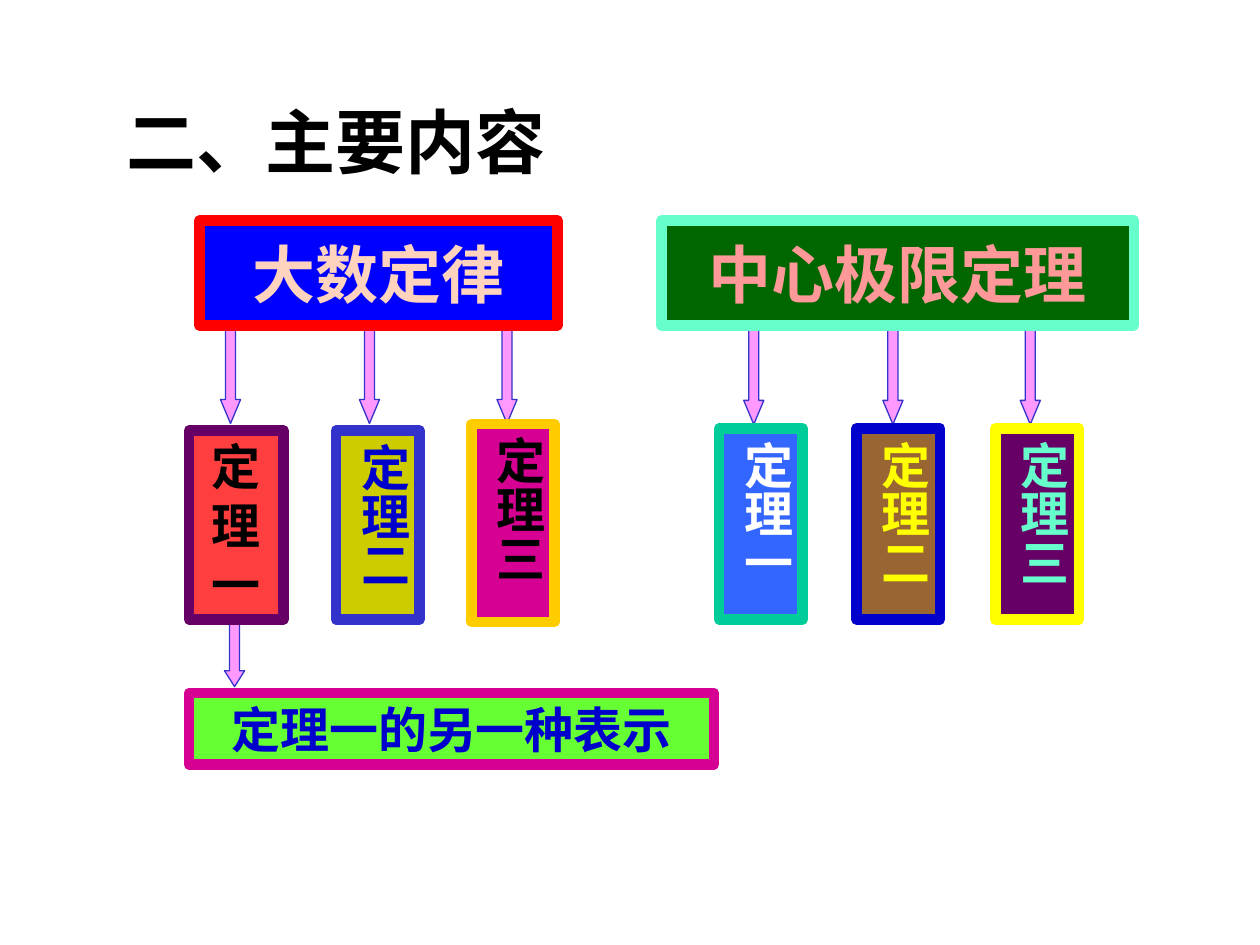
import pptx
import pptx.dml.color
import pptx.enum.shapes
import pptx.enum.text
import pptx.util

Pt = pptx.util.Pt
Shape = pptx.enum.shapes.MSO_SHAPE
Anchor = pptx.enum.text.MSO_ANCHOR
Align = pptx.enum.text.PP_ALIGN


def color(value):
    return pptx.dml.color.RGBColor.from_string(value)


def add_filled(kind, left, top, width, height, fill, line, line_width):
    shape = slide.shapes.add_shape(kind, Pt(left), Pt(top), Pt(width), Pt(height))
    shape.shadow.inherit = False
    shape.fill.solid()
    shape.fill.fore_color.rgb = color(fill)
    shape.line.color.rgb = color(line)
    shape.line.width = Pt(line_width)
    return shape


deck = pptx.Presentation()
deck.slide_width, deck.slide_height = Pt(720), Pt(540)
slide = deck.slides.add_slide(deck.slide_layouts[6])

title = slide.shapes.add_textbox(Pt(65), Pt(52.5), Pt(612), Pt(55.5))
title.text_frame.word_wrap = True
title.text_frame.vertical_anchor = Anchor.MIDDLE
para = title.text_frame.paragraphs[0]
para.text = "二、主要内容"
para.font.name, para.font.size, para.font.bold = "Times New Roman", Pt(40), True
para.font.color.rgb = color("000000")

# Left, top, height of each arrow, and its head length as a share of its width
arrows = [(left, 188, 54, 1.19) for left in (126, 205.4, 284)]
arrows += [(left, 188.5, 54, 1.19) for left in (425, 504.5, 583)]
arrows.append((128.3, 356.4, 36, 0.79))
for left, top, height, head in arrows:
    arrow = add_filled(Shape.DOWN_ARROW, left, top, 11.5, height, "FF99FF", "3333CC", 0.75)
    arrow.adjustments[0], arrow.adjustments[1] = 0.5, head

# Text, size, text colour, fill, line, place, upright characters in a column
boxes = [
    ("大数定律", 36, "FFD3BD", "0000FF", "FF0000", (114, 126, 204.5, 60), False),
    ("中心极限定理", 36, "FF9999", "006600", "66FFCC", (378, 126, 270, 60), False),
    ("定\n理\n一", 28, "000000", "FF3F3F", "660066", (108, 246, 54, 108), False),
    ("定理二", 28, "0000CC", "CCCC00", "3333CC", (192, 246, 47.7, 108), True),
    ("定理三", 28, "000000", "D60093", "FFCC00", (269.3, 242.4, 47.7, 113), True),
    ("定理一", 28, "FFFFFF", "3366FF", "00CC99", (411, 244.8, 47.7, 109.2), True),
    ("定理二", 28, "FFFF00", "996633", "0000CC", (489.4, 244.8, 47.7, 109.2), True),
    ("定理三", 28, "66FFCC", "660066", "FFFF00", (568.8, 244.8, 47.7, 109.2), True),
    ("定理一的另一种表示", 28, "0000CC", "66FF33", "D60093", (108, 396, 300, 41), False),
]
for text, size, text_color, fill, line, place, vertical in boxes:
    box = add_filled(Shape.RECTANGLE, *place, fill, line, 6)
    frame = box.text_frame
    frame.word_wrap = vertical
    frame.vertical_anchor = Anchor.TOP if vertical else Anchor.MIDDLE
    if vertical:
        box.element.txBody.bodyPr.set("vert", "eaVert")
        frame.margin_left = frame.margin_right = Pt(3.6)
        frame.margin_top = frame.margin_bottom = Pt(7.2)
    frame.text = text
    for para in frame.paragraphs:
        para.alignment = Align.CENTER
        para.font.name, para.font.size, para.font.bold = "Times New Roman", Pt(size), True
        para.font.color.rgb = color(text_color)

deck.save("out.pptx")
